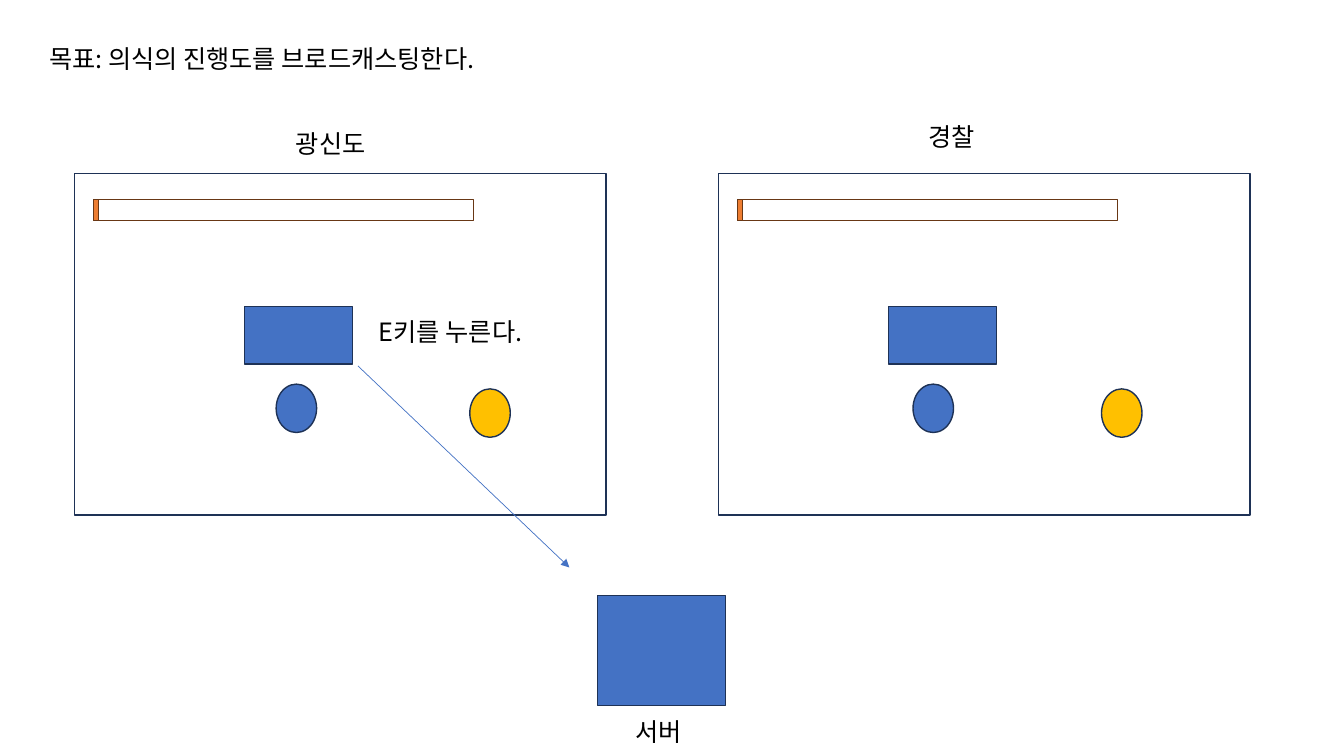
from lxml import etree
from pptx import Presentation
from pptx.dml.color import RGBColor
from pptx.enum import shapes, text
from pptx.oxml.ns import qn
from pptx.util import Cm, Pt

# Content: lengths in cm
LABELS = [  # text, left, top, width
    ("목표: 의식의 진행도를 브로드캐스팅한다.", 0.99, 0.97, 13.06),
    ("광신도", 7.21, 3.12, 2.44),
    ("경찰", 23.14, 2.92, 1.8),
    ("E키를 누른다.", 9.3, 7.85, 4.42),
    ("서버", 15.77, 17.93, 1.8),
]
SCREENS = [  # left edge, then offsets of the two characters
    {"left": 1.88, "cultist": 5.08, "police": 9.96},
    {"left": 18.11, "cultist": 4.9, "police": 9.65},
]
SCREEN_TOP = 4.37
SERVER = (15.06, 15.01, 3.23, 2.77)
ARROW = (9.02, 9.22, 14.35, 14.3)

THEME = {
    "font": "Noto Sans CJK KR", "size": 18, "text": "000000",
    "blue": "4472C4", "navy": "1E3256", "gold": "FFC000",
    "white": "FFFFFF", "orange": "ED7D31", "brown": "683715",
    "outline": 1, "arrow": 0.5,
}
RECT = shapes.MSO_SHAPE.RECTANGLE
OVAL = shapes.MSO_SHAPE.OVAL


def color(name):
    return RGBColor.from_string(THEME[name])


def add_box(s, kind, box, fill=None, line="navy"):
    sp = s.shapes.add_shape(kind, *map(Cm, box))
    sp.shadow.inherit = False
    if fill:
        sp.fill.solid()
        sp.fill.fore_color.rgb = color(fill)
    else:
        sp.fill.background()
    sp.line.color.rgb = color(line)
    sp.line.width = Pt(THEME["outline"])


def add_label(s, words, left, top, width):
    tf = s.shapes.add_textbox(*map(Cm, (left, top, width, 1.02))).text_frame
    tf.word_wrap = False
    tf.auto_size = text.MSO_AUTO_SIZE.SHAPE_TO_FIT_TEXT
    r = tf.paragraphs[0].add_run()
    r.text = words
    r.font.size = Pt(THEME["size"])
    r.font.name = THEME["font"]
    r.font.color.rgb = color("text")
    etree.SubElement(r.font._element, qn("a:ea"), typeface=THEME["font"])


def add_screen(s, left, cultist, police):
    parts = [  # kind, x and y offset, width, height, fill, line
        (RECT, 0, 0, 13.39, 8.61, None, "navy"),
        (RECT, 4.28, 3.35, 2.72, 1.45, "blue", "navy"),
        (OVAL, cultist, 5.31, 1.02, 1.22, "blue", "navy"),
        (OVAL, police, 5.43, 1.02, 1.22, "gold", "navy"),
        (RECT, 0.47, 0.66, 9.58, 0.53, "white", "brown"),
        (RECT, 0.47, 0.66, 0.14, 0.53, "orange", "brown"),
    ]
    for kind, x, y, w, h, fill, line in parts:
        add_box(s, kind, (left + x, SCREEN_TOP + y, w, h), fill, line)


def add_arrow(s, ends):
    c = s.shapes.add_connector(shapes.MSO_CONNECTOR.STRAIGHT, *map(Cm, ends))
    c.line.color.rgb = color("blue")
    c.line.width = Pt(THEME["arrow"])
    etree.SubElement(c.line._get_or_add_ln(), qn("a:tailEnd"), type="triangle")
    etree.SubElement(c._element.spPr, qn("a:effectLst"))


def main():
    prs = Presentation()
    prs.slide_width, prs.slide_height = Cm(33.87), Cm(19.05)
    s = prs.slides.add_slide(prs.slide_layouts[6])

    # Player screens
    for screen in SCREENS:
        add_screen(s, **screen)

    # Server and the message sent to it
    add_box(s, RECT, SERVER, "blue")
    add_arrow(s, ARROW)

    # Captions
    for label in LABELS:
        add_label(s, *label)

    prs.save("out.pptx")


if __name__ == "__main__":
    main()
